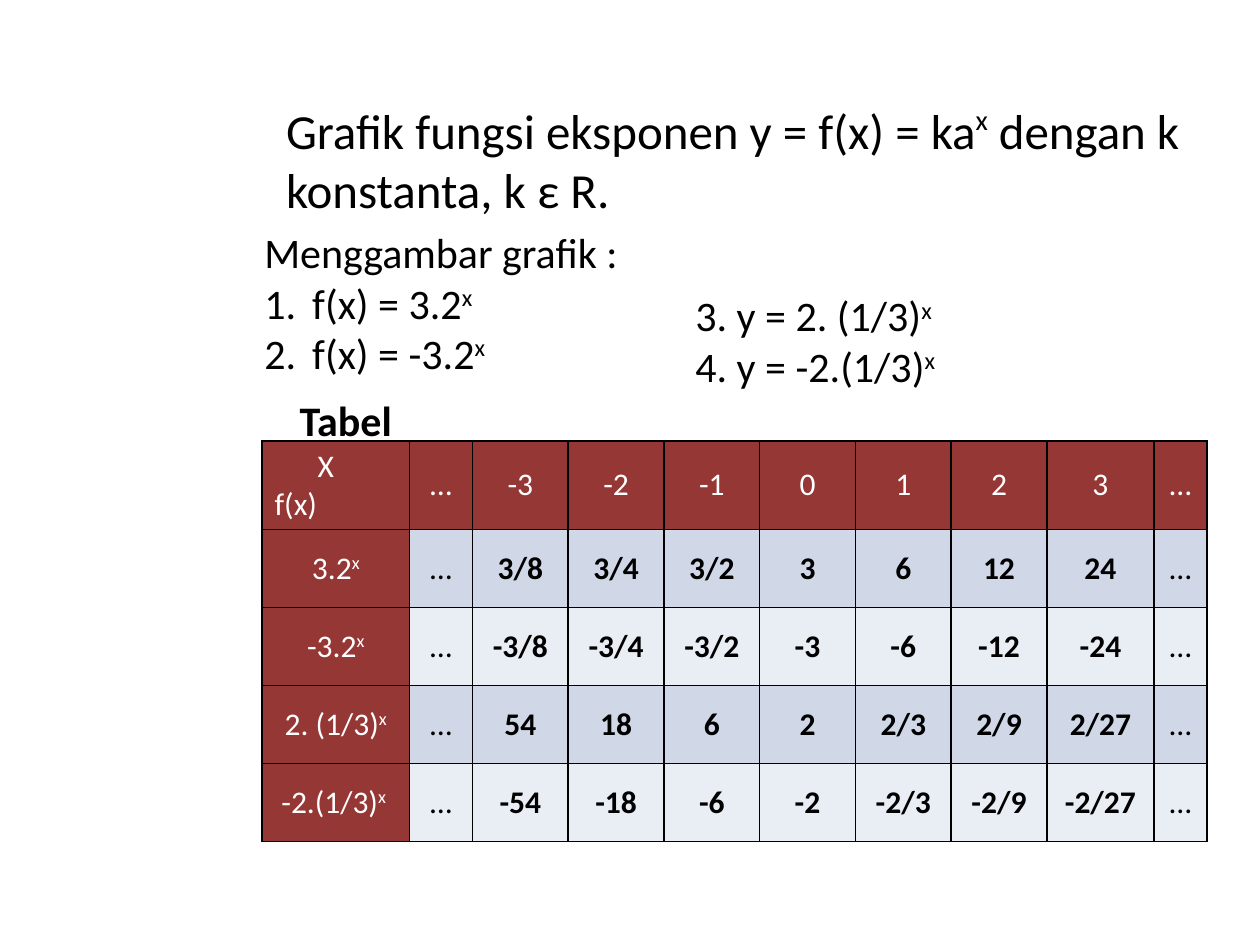
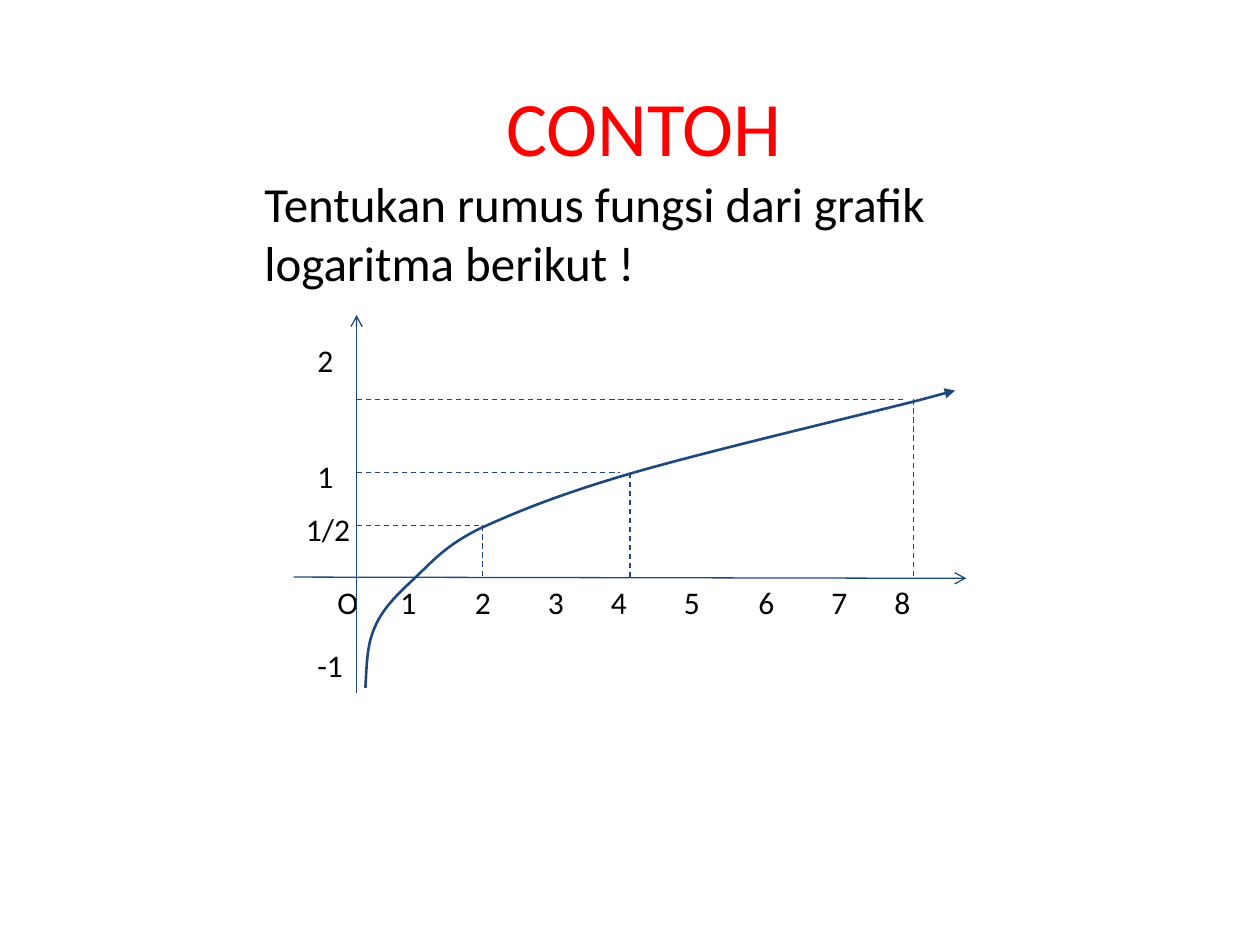
from lxml import etree
from pptx import Presentation
from pptx.dml.color import RGBColor
from pptx.enum.dml import MSO_LINE
from pptx.enum.shapes import MSO_CONNECTOR
from pptx.enum.text import MSO_ANCHOR, MSO_AUTO_SIZE, PP_ALIGN
from pptx.oxml.ns import qn
from pptx.util import Inches, Pt

COLORS = {"text": "000000", "white": "FFFFFF", "title": "FF0000", "header": "953735",
          "band1": "D0D8E8", "band2": "E9EDF4", "line": "1F497D"}


def write(tf, lines, size, color="text", bold=False, align=PP_ALIGN.LEFT, raised=30):
    """Fill a text frame; a part between two ^ marks is superscript."""
    for i, line in enumerate(lines):
        p = tf.add_paragraph() if i else tf.paragraphs[0]
        p.alignment = align
        for j, part in enumerate(line.split("^")):
            if not part:
                continue
            r = p.add_run()
            r.text = part
            for name, value in {"name": "Calibri", "size": Pt(size), "bold": bold}.items():
                setattr(r.font, name, value)
            r.font.color.rgb = RGBColor.from_string(COLORS[color])
            if j % 2:
                r.font._element.set("baseline", str(raised * 1000))


def style_line(sp, width, dash=None, arrow=None):
    """Give a connector or an open curve its stroke and arrowhead."""
    sp.line.color.rgb = RGBColor.from_string(COLORS["line"])
    sp.line.width = Pt(width)
    if dash:
        sp.line.dash_style = dash
    if arrow:
        etree.SubElement(sp.get_or_add_ln(), qn("a:tailEnd"), type=arrow)
    etree.SubElement(sp._element.spPr, qn("a:effectLst"))


prs = Presentation()
prs.slide_width, prs.slide_height = Inches(10), Inches(7.5)

# Both slides: title and text boxes (position, lines, size, bold, alignment)
LEFT, CENTER = PP_ALIGN.LEFT, PP_ALIGN.CENTER
axis_labels = [((x, 4.58, 0.42, 0.4), [text], 18, False, LEFT) for x, text in zip(
    (2.58, 3.08, 3.67, 4.25, 4.75, 5.33, 5.92, 6.5, 7), "O12345678")]
axis_labels += [((x, y, 0.67, 0.4), [text], 18, False, LEFT) for x, y, text in (
    (2.42, 5.08, "-1"), (2.33, 4, "1/2"), (2.42, 3.58, "1"), (2.42, 2.66, "2"))]
pages = [
    ("Grafik fungsi eksponen y = f(x) = ka^x^ dengan k konstanta, k ε R.",
     (2.17, 0.75, 7.33, 1.02), 28, "text",
     [((2, 1.75, 7.67, 1.31),
       ["Menggambar grafik :", "f(x) = 3.2^x^", "f(x) = -3.2^x^"], 24, False, LEFT),
      ((5.42, 2.25, 2.92, 1.31),
       ["3. y = 2. (1/3)^x^", "4. y = -2.(1/3)^x^"], 24, False, LEFT),
      ((2.08, 3.08, 1.33, 0.51), ["Tabel"], 24, True, CENTER)]),
    ("CONTOH", (3.92, 0.58, 3.11, 0.63), 44, "title",
     [((2, 1.33, 6, 1.04), ["Tentukan rumus fungsi dari grafik logaritma berikut !"],
       28, False, LEFT)] + axis_labels),
]
slides, boxes = [], []
for title, at, size, color, texts in pages:
    s = prs.slides.add_slide(prs.slide_layouts[5])
    slides.append(s)
    sp = s.shapes.title
    sp.left, sp.top, sp.width, sp.height = map(Inches, at)
    tf = sp.text_frame
    for name, value in {"word_wrap": True, "auto_size": MSO_AUTO_SIZE.NONE,
                        "vertical_anchor": MSO_ANCHOR.TOP}.items():
        setattr(tf, name, value)
    write(tf, [title], size, color, raised=40)
    for at, lines, size, bold, align in texts:
        sp = s.shapes.add_textbox(*map(Inches, at))
        boxes.append(sp)
        tf = sp.text_frame
        tf.word_wrap, tf.auto_size = True, MSO_AUTO_SIZE.SHAPE_TO_FIT_TEXT
        write(tf, lines, size, bold=bold, align=align)

# Slide 1: numbering of the first two functions
for p in boxes[0].text_frame.paragraphs[1:]:
    pPr = p._p.get_or_add_pPr()
    pPr.set("marL", str(Inches(0.38)))
    pPr.set("indent", str(-Inches(0.38)))
    etree.SubElement(pPr, qn("a:buFont"), typeface="+mj-lt")
    etree.SubElement(pPr, qn("a:buAutoNum"), type="arabicPeriod")

# Slide 1: table of values
rows = [
    ["X\nf(x)", "…", "-3", "-2", "-1", "0", "1", "2", "3", "…"],
    ["3.2^x^", "…", "3/8", "3/4", "3/2", "3", "6", "12", "24", "…"],
    ["-3.2^x^", "…", "-3/8", "-3/4", "-3/2", "-3", "-6", "-12", "-24", "…"],
    ["2. (1/3)^x^", "…", "54", "18", "6", "2", "2/3", "2/9", "2/27", "…"],
    ["-2.(1/3)^x ^", "…", "-54", "-18", "-6", "-2", "-2/3", "-2/9", "-2/27", "…"],
]
widths = [1.17, 0.5] + [0.76] * 6 + [0.85, 0.42]
table = slides[0].shapes.add_table(len(rows), len(widths), Inches(2.08), Inches(3.5),
                                   Inches(7.5), Inches(3.17)).table
for col, width in zip(table.columns, widths):
    col.width = Inches(width)
for i, row in enumerate(rows):
    table.rows[i].height = Inches(0.62 if i else 0.7)
    for j, text in enumerate(row):
        cell = table.cell(i, j)
        head = i == 0 or j == 0
        corner = i == 0 and j == 0
        fill = "header" if head else "band1" if i % 2 else "band2"
        cell.fill.solid()
        cell.fill.fore_color.rgb = RGBColor.from_string(COLORS[fill])
        cell.vertical_anchor = MSO_ANCHOR.TOP if corner else MSO_ANCHOR.MIDDLE
        write(cell.text_frame, text.split("\n"), 18, "white" if head else "text",
              not head and text != "…", LEFT if corner else CENTER)
        tcPr = cell._tc.get_or_add_tcPr()
        for k, side in enumerate(("lnL", "lnR", "lnT", "lnB")):
            ln = etree.Element(qn("a:" + side), w=str(Pt(1)))
            solid = etree.SubElement(ln, qn("a:solidFill"))
            etree.SubElement(solid, qn("a:srgbClr"), val=COLORS["text"])
            tcPr.insert(k, ln)
corner_p = table.cell(0, 0).text_frame.paragraphs[0]
corner_p._p.get_or_add_pPr().set("marL", str(Inches(0.34)))

# Slide 2: axes and dashed guides
s = slides[1]
axis_x, axis_y = 2.83, 4.58
lines = [((2.33, axis_y, 7.67, 4.59), None, "arrow"),
         ((axis_x, 5.5, axis_x, 2.5), None, "arrow")]
for x, y, end in ((3.83, 4.17, 3.83), (5, 3.75, 4.92), (7.25, 3.17, 7.17)):
    lines += [((axis_x, y, end, y), MSO_LINE.DASH, None),
              ((x, y, x, axis_y), MSO_LINE.DASH, None)]
for ends, dash, arrow in lines:
    sp = s.shapes.add_connector(MSO_CONNECTOR.STRAIGHT, *map(Inches, ends))
    style_line(sp, 0.75, dash, arrow)

# Slide 2: logarithm curve, three points to each Bezier piece, then a straight tip
points = [(2.91, 5.29), (2.91, 5.13), (2.97, 4.99), (3.03, 4.84), (3.14, 4.73), (3.28, 4.6),
          (3.42, 4.47), (3.53, 4.33), (3.82, 4.19), (4.11, 4.06), (4.42, 3.93), (5, 3.76),
          (5.58, 3.59), (6.85, 3.29), (7.28, 3.18), (7.58, 3.1)]
fb = s.shapes.build_freeform(Inches(2.9), Inches(5.46))
fb.add_line_segments([(Inches(x), Inches(y)) for x, y in points], close=False)
sp = fb.convert_to_shape()
sp.fill.background()
style_line(sp, 1.5, arrow="triangle")
segments = list(sp._element.iter(qn("a:lnTo")))
for i in range(0, len(segments) - 1, 3):
    curve = etree.Element(qn("a:cubicBezTo"))
    segments[i].addprevious(curve)
    for segment in segments[i:i + 3]:
        curve.append(segment[0])
        segment.getparent().remove(segment)

prs.save("out.pptx")
